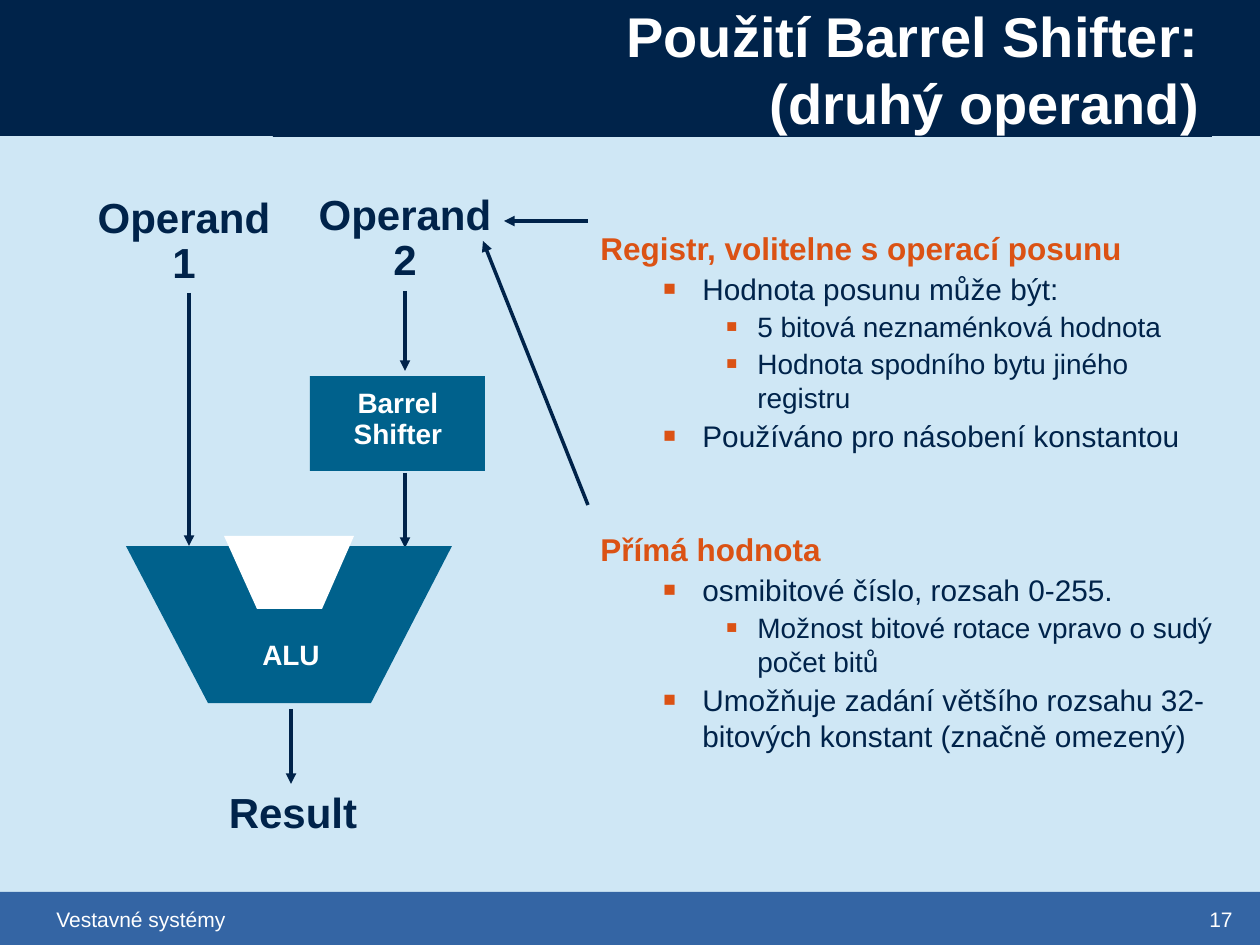
from dataclasses import dataclass
from typing import NamedTuple, Optional

import lxml.etree
import pptx
import pptx.dml.color
import pptx.enum.shapes
import pptx.enum.text
import pptx.oxml.ns
import pptx.util

EMU_PER_PX = 914400 / 126
ALIGN = pptx.enum.text.PP_ALIGN
ANCHOR = pptx.enum.text.MSO_ANCHOR


@dataclass(frozen=True)
class Theme:
    font: str = "Arial"
    background: str = "CFE7F5"
    navy: str = "00234A"
    teal: str = "00618C"
    footer: str = "3465A4"
    accent: str = "DB5214"
    white: str = "FFFFFF"
    title_size: int = 32
    operand_size: int = 24
    block_size: int = 16
    footer_size: int = 12
    line_width: int = 2


THEME = Theme()


class Box(NamedTuple):
    left: int
    top: int
    width: int
    height: int


@dataclass(frozen=True)
class Label:
    text: str
    box: Box
    size: int
    color: str = THEME.white
    bold: bool = True
    align: ALIGN = ALIGN.CENTER
    anchor: ANCHOR = ANCHOR.TOP
    line_spacing: float = 0.9
    wrap: bool = True
    fill: Optional[str] = None
    inset: int = 6


class Arrow(NamedTuple):
    start: tuple[int, int]
    end: tuple[int, int]


class Polygon(NamedTuple):
    points: list[tuple[int, int]]
    fill: str


class Level(NamedTuple):
    size: int
    color: str
    bold: bool
    margin: int
    hanging: int
    space_before: float
    bullet_percent: Optional[int] = None


class Item(NamedTuple):
    level: int
    text: str


LEVELS = [
    Level(18, THEME.accent, True, 47, 47, 44),
    Level(17, THEME.navy, False, 102, 39, 2.1, 70),
    Level(16, THEME.navy, False, 157, 31, 2, 65),
]
BODY_BOX = Box(588, 158, 651, 703)
BODY_ITEMS = [
    Item(0, "Registr, volitelne s operací posunu"),
    Item(1, "Hodnota posunu může být:"),
    Item(2, "5 bitová neznaménková hodnota"),
    Item(2, "Hodnota spodního bytu jiného registru"),
    Item(1, "Používáno pro násobení konstantou"),
    Item(0, "Přímá hodnota"),
    Item(1, "osmibitové číslo, rozsah 0-255."),
    Item(2, "Možnost bitové rotace vpravo o sudý počet bitů"),
    Item(1, "Umožňuje zadání většího rozsahu 32-bitových konstant (značně omezený)"),
]
HEADER = Box(0, 0, 1260, 136)
FOOTER = Box(0, 892, 1260, 53)
BARREL_SHIFTER = Box(310, 376, 175, 95)
FOOTER_LABELS = [
    Label("17", Box(1197, 900, 63, 38), THEME.footer_size, bold=False,
          align=ALIGN.LEFT, anchor=ANCHOR.MIDDLE, line_spacing=1),
    Label("Vestavné systémy", Box(44, 900, 1050, 38), THEME.footer_size, bold=False,
          align=ALIGN.LEFT, anchor=ANCHOR.MIDDLE, line_spacing=1),
]
DIAGRAM_LABELS = [
    Label("Operand 1", Box(84, 191, 200, 103), THEME.operand_size, THEME.navy),
    Label("Operand 2", Box(305, 188, 200, 103), THEME.operand_size, THEME.navy),
    Label("Result", Box(193, 786, 200, 58), THEME.operand_size, THEME.navy),
    Label("Barrel\vShifter", Box(316, 378, 164, 84), THEME.block_size,
          anchor=ANCHOR.MIDDLE, wrap=False),
    Label("ALU", Box(231, 635, 120, 43), THEME.block_size, fill=THEME.teal),
]
TITLE = Label("Použití Barrel Shifter:\v(druhý operand)", Box(273, 0, 939, 137),
              THEME.title_size, align=ALIGN.RIGHT, anchor=ANCHOR.MIDDLE,
              line_spacing=1, fill=THEME.navy, inset=1)
ARROWS = [
    Arrow((588, 221), (504, 221)),
    Arrow((588, 505), (483, 241)),
    Arrow((189, 293), (189, 546)),
    Arrow((405, 291), (405, 371)),
    Arrow((405, 473), (405, 548)),
    Arrow((291, 709), (291, 784)),
]
ALU_PARTS = [
    Polygon([(126, 546), (452, 546), (371, 703), (208, 703)], THEME.teal),
    Polygon([(224, 536), (354, 536), (322, 609), (257, 609)], THEME.white),
]


def px(length: int) -> int:
    return pptx.util.Emu(round(length * EMU_PER_PX))


def rgb(color: str) -> pptx.dml.color.RGBColor:
    return pptx.dml.color.RGBColor.from_string(color)


def style_shape(shape, fill: str) -> None:
    shape.shadow.inherit = False
    shape.fill.solid()
    shape.fill.fore_color.rgb = rgb(fill)
    shape.line.fill.background()


def style_font(paragraph, size: int, color: str, bold: bool) -> None:
    font = paragraph.font
    font.name, font.size, font.bold = THEME.font, pptx.util.Pt(size), bold
    font.color.rgb = rgb(color)


def add_rectangle(slide, box: Box, fill: str):
    shape = slide.shapes.add_shape(
        pptx.enum.shapes.MSO_SHAPE.RECTANGLE, *map(px, box))
    style_shape(shape, fill)
    return shape


def add_label(slide, label: Label) -> None:
    if label.fill:
        shape = add_rectangle(slide, label.box, label.fill)
    else:
        shape = slide.shapes.add_textbox(*map(px, label.box))
    frame = shape.text_frame
    frame.word_wrap = label.wrap
    frame.vertical_anchor = label.anchor
    frame.margin_top = frame.margin_bottom = px(label.inset)
    paragraph = frame.paragraphs[0]
    paragraph.text = label.text
    paragraph.alignment = label.align
    paragraph.line_spacing = label.line_spacing
    style_font(paragraph, label.size, label.color, label.bold)


def add_arrow(slide, arrow: Arrow) -> None:
    connector = slide.shapes.add_connector(
        pptx.enum.shapes.MSO_CONNECTOR.STRAIGHT,
        *map(px, arrow.start), *map(px, arrow.end))
    connector.line.color.rgb = rgb(THEME.navy)
    connector.line.width = pptx.util.Pt(THEME.line_width)
    qn = pptx.oxml.ns.qn
    lxml.etree.SubElement(connector.line._get_or_add_ln(), qn("a:tailEnd"), type="triangle")
    lxml.etree.SubElement(connector._element.spPr, qn("a:effectLst"))


def add_polygon(slide, polygon: Polygon) -> None:
    builder = slide.shapes.build_freeform(*polygon.points[0], scale=EMU_PER_PX)
    builder.add_line_segments(polygon.points[1:], close=True)
    style_shape(builder.convert_to_shape(), polygon.fill)


def add_bullet(properties, percent: int) -> None:
    qn = pptx.oxml.ns.qn
    color = lxml.etree.SubElement(properties, qn("a:buClr"))
    lxml.etree.SubElement(color, qn("a:srgbClr"), val=THEME.accent)
    lxml.etree.SubElement(properties, qn("a:buSzPct"), val=str(percent * 1000))
    lxml.etree.SubElement(properties, qn("a:buFont"), typeface=THEME.font)
    lxml.etree.SubElement(properties, qn("a:buChar"), char="■")


def add_body(slide) -> None:
    frame = slide.shapes.add_textbox(*map(px, BODY_BOX)).text_frame
    frame.word_wrap = True
    frame.vertical_anchor = ANCHOR.MIDDLE
    frame.margin_top, frame.margin_bottom = px(26), px(63)
    for index, item in enumerate(BODY_ITEMS):
        level = LEVELS[item.level]
        paragraph = frame.add_paragraph() if index else frame.paragraphs[0]
        paragraph.text = item.text
        paragraph.level = item.level
        properties = paragraph._p.get_or_add_pPr()
        properties.set("marL", str(px(level.margin)))
        properties.set("indent", str(-px(level.hanging)))
        if level.bullet_percent:
            add_bullet(properties, level.bullet_percent)
        if index:
            paragraph.space_before = pptx.util.Pt(level.space_before)
        style_font(paragraph, level.size, level.color, level.bold)


def main() -> None:
    presentation = pptx.Presentation()
    presentation.slide_width, presentation.slide_height = px(1260), px(945)
    slide = presentation.slides.add_slide(presentation.slide_layouts[6])
    slide.background.fill.solid()
    slide.background.fill.fore_color.rgb = rgb(THEME.background)

    add_rectangle(slide, HEADER, THEME.navy)
    add_rectangle(slide, FOOTER, THEME.footer)
    for label in FOOTER_LABELS:
        add_label(slide, label)
    add_body(slide)
    add_rectangle(slide, BARREL_SHIFTER, THEME.teal)
    for arrow in ARROWS:
        add_arrow(slide, arrow)
    for polygon in ALU_PARTS:
        add_polygon(slide, polygon)
    for label in [*DIAGRAM_LABELS, TITLE]:
        add_label(slide, label)
    presentation.save("out.pptx")


if __name__ == "__main__":
    main()
